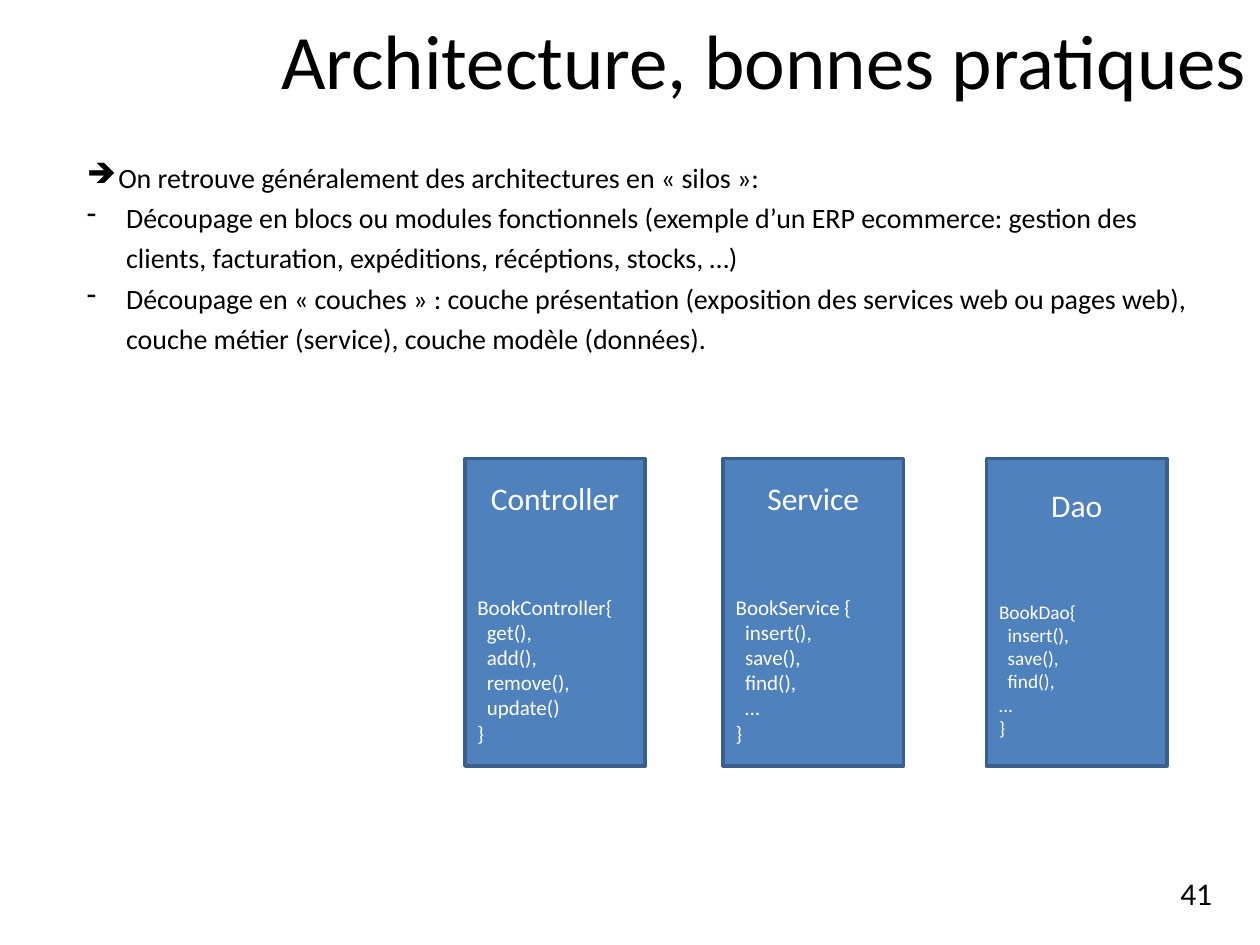
from dataclasses import dataclass
from lxml.etree import SubElement
from pptx import Presentation
from pptx.dml.color import RGBColor as Rgb
from pptx.enum.shapes import MSO_SHAPE as Kind
from pptx.enum.text import MSO_ANCHOR as Anchor, PP_ALIGN as Align
from pptx.oxml.ns import qn
from pptx.util import Pt


@dataclass(frozen=True)
class Theme:
    font: str = "Calibri"
    ink: str = "000000"
    white: str = "FFFFFF"
    fill: str = "4F81BD"
    edge: str = "3A5F8C"
    title: int = 44
    body: int = 16
    head: int = 18


@dataclass(frozen=True)
class Point:
    mark: str
    text: str
    left: float
    hang: float


@dataclass(frozen=True)
class Layer:
    left: float
    name: str
    open: str
    calls: tuple[str, ...]
    size: int = 12
    tail: tuple[str, ...] = ("}",)


theme = Theme()

points = (
    Point("➔", "On retrouve généralement des architectures en «\u00a0silos\u00a0»:", 36, 18),
    Point("-", "Découpage en blocs ou modules fonctionnels (exemple d’un ERP ecommerce: "
          "gestion des clients, facturation, expéditions, récéptions, stocks, …)", 40.5, 22.5),
    Point("-", "Découpage en «\u00a0couches\u00a0» : couche présentation (exposition des "
          "services web ou pages web), couche métier (service), couche modèle (données).",
          40.5, 22.5),
)

layers = (
    Layer(265.7, "Controller", "BookController{", ("get(),", "add(),", "remove(),", "update()")),
    Layer(413.3, "Service", "BookService {", ("insert(),", "save(),", "find(),", "…")),
    Layer(563.8, "Dao", "BookDao{", ("insert(),", "save(),", "find(),"), 11, ("…", "}")),
)


def write(frame, text: str, size: int, color: str, **form):
    """Add one paragraph, filling the empty first one before adding more."""
    para = frame.paragraphs[0]
    if para.runs:
        para = frame.add_paragraph()
    run = para.add_run()
    run.text = text
    run.font.name, run.font.size = theme.font, Pt(size)
    run.font.color.rgb = Rgb.from_string(color)
    for key, value in form.items():
        setattr(para, key, value)
    return para


def indent(para, left: float, hang: float = 0) -> None:
    props = para._p.get_or_add_pPr()
    props.set("marL", str(Pt(left)))
    props.set("indent", str(-Pt(hang)))


def box(x: float, y: float, wide: float, high: float, anchor=Anchor.TOP):
    frame = slide.shapes.add_textbox(Pt(x), Pt(y), Pt(wide), Pt(high)).text_frame
    form = {"word_wrap": True, "vertical_anchor": anchor}
    form |= {f"margin_{side}": Pt(7.2) for side in ("left", "top", "right", "bottom")}
    for key, value in form.items():
        setattr(frame, key, value)
    return frame


def list_item(frame, point: Point) -> None:
    para = write(frame, point.text, theme.body, theme.ink, line_spacing=1.2)
    indent(para, point.left, point.hang)
    SubElement(para._p.get_or_add_pPr(), qn("a:buChar")).set("char", point.mark)


def draw(layer: Layer) -> None:
    shape = slide.shapes.add_shape(
        Kind.RECTANGLE, Pt(layer.left), Pt(262.1), Pt(103), Pt(175.7))
    shape.shadow.inherit = False
    shape.fill.solid()
    shape.fill.fore_color.rgb = Rgb.from_string(theme.fill)
    shape.line.color.rgb = Rgb.from_string(theme.edge)
    shape.line.width = Pt(2)
    frame = shape.text_frame
    frame.word_wrap, frame.vertical_anchor = True, Anchor.MIDDLE
    write(frame, layer.name, theme.head, theme.white, alignment=Align.CENTER)
    code = {"size": layer.size, "color": theme.white, "alignment": Align.LEFT}
    write(frame, layer.open, **code, space_before=Pt(44))
    for call in layer.calls:
        indent(write(frame, call, **code), layer.size * 0.45)
    for text in layer.tail:
        write(frame, text, **code)


# Slide
deck = Presentation()
deck.slide_width, deck.slide_height = Pt(720), Pt(540)
slide = deck.slides.add_slide(deck.slide_layouts[6])

# Title, list and page number
write(box(49, 0, 671, 60.5), "Architecture, bonnes pratiques",
      theme.title, theme.ink, alignment=Align.RIGHT)
body = box(24.5, 80.6, 671, 399.6)
for point in points:
    list_item(body, point)
write(box(667.4, 489.6, 43.2, 41, Anchor.MIDDLE), "41", theme.head, theme.ink)

# Layers
for layer in layers:
    draw(layer)

deck.save("out.pptx")
